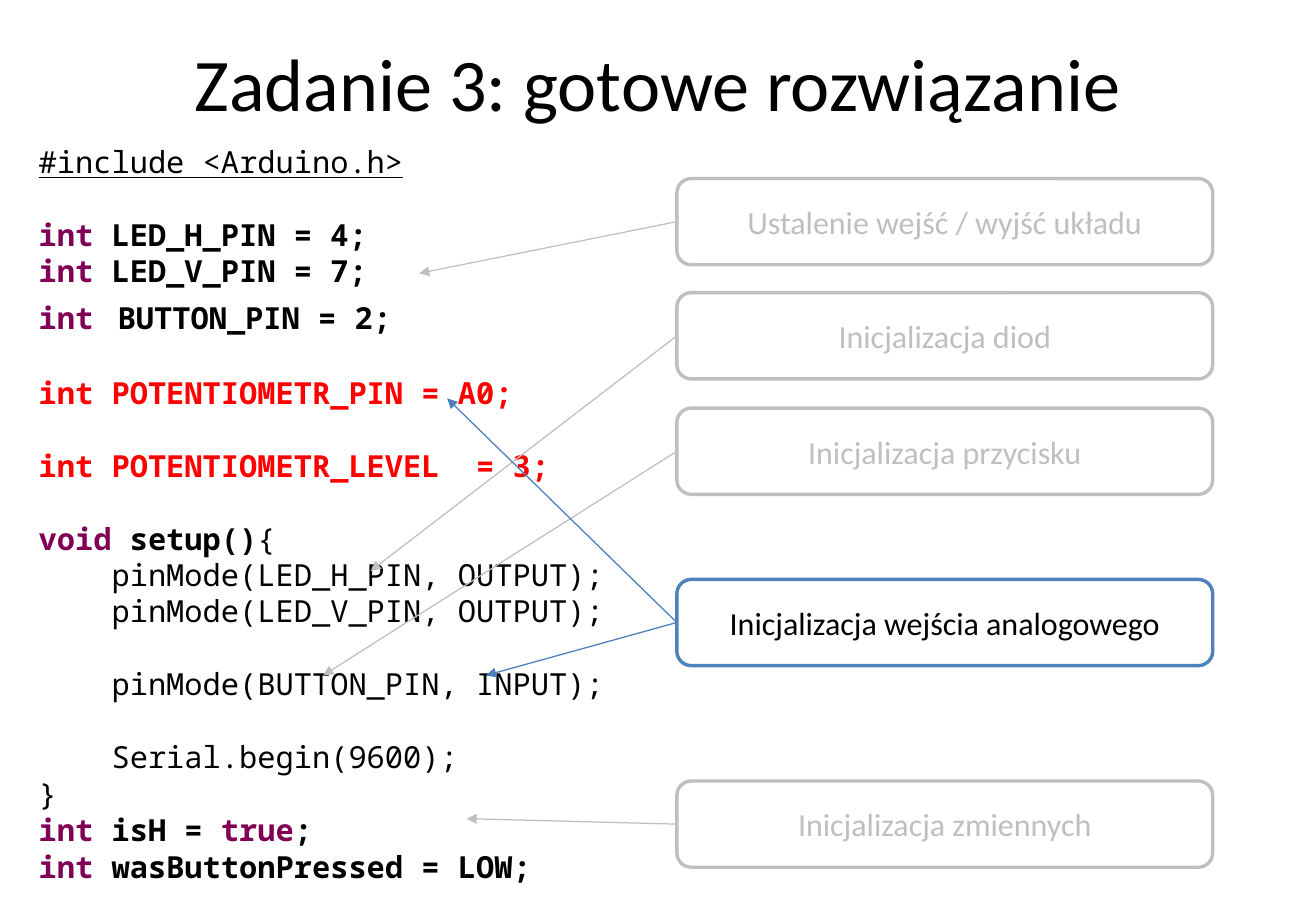
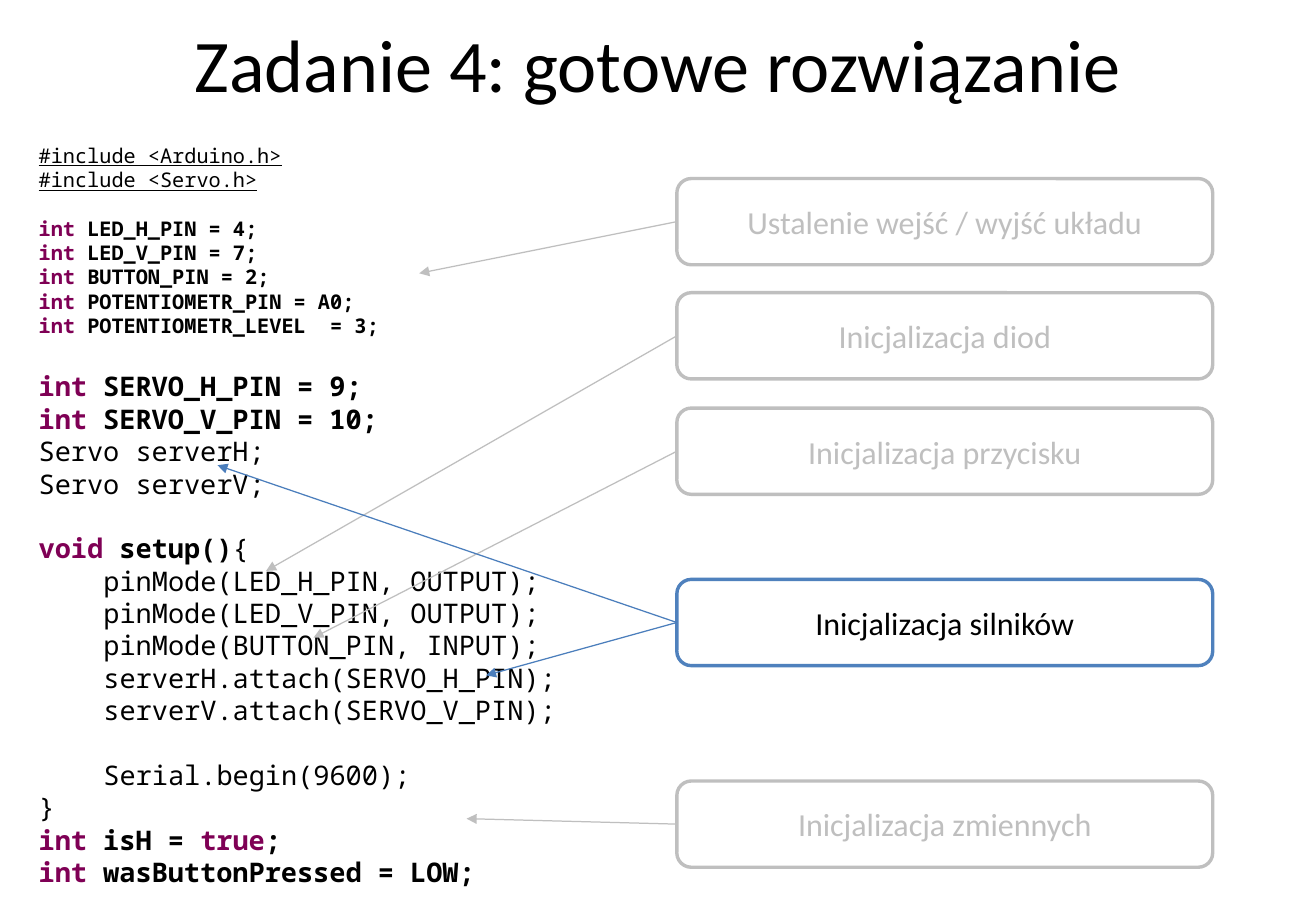
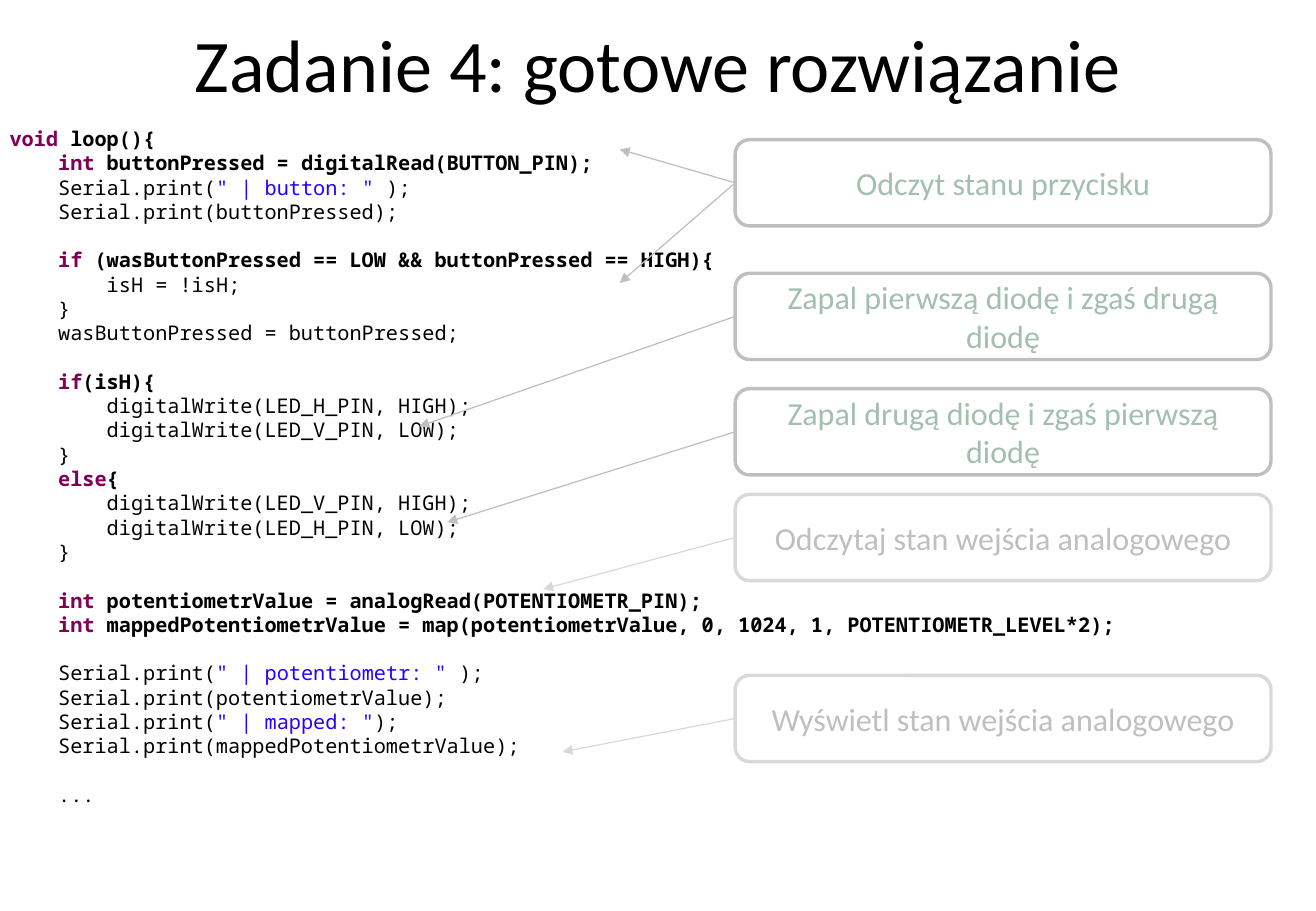
from dataclasses import dataclass
from itertools import groupby

from lxml import etree
from pptx import Presentation
from pptx import util as u
from pptx.dml.color import RGBColor
from pptx.enum import shapes, text
from pptx.oxml import ns

KEYWORDS = {"int", "void", "if", "else", "true"}


@dataclass(frozen=True)
class Theme:
    ink: str = "000000"
    paper: str = "FFFFFF"
    keyword: str = "7F0055"
    string: str = "2A00FF"
    new_code: str = "FF0000"
    grey: str = "BFBFBF"
    pale: str = "D9D9D9"
    sage: str = "A2BFAF"
    blue: str = "4F81BD"
    blue_arrow: str = "4B7EBC"
    sans: str = "Calibri"
    mono: str = "Noto Sans Mono"
    title_size: float = 44
    label_size: float = 19
    large_code: float = 18
    medium_code: float = 16
    small_code: float = 12
    wide_space: float = 24
    leading: float = 1.2
    char_width: float = 0.6


T = Theme()


def rgb(value):
    return RGBColor.from_string(value)


def tokens(line):
    """Split a line of code into (text, colour) parts."""
    if '"' in line:
        return [(f'"{part}"', T.string) if i % 2 else (part, T.ink)
                for i, part in enumerate(line.split('"'))]
    words = ["".join(g) for _, g in
             groupby(line, lambda ch: ch.isalnum() or ch == "_")]
    colours = [(w, T.keyword if w in KEYWORDS else T.ink) for w in words]
    return [("".join(w for w, _ in g), colour)
            for colour, g in groupby(colours, lambda pair: pair[1])]


class Deck:
    def __init__(self):
        self.prs = Presentation()
        self.prs.slide_width = u.Inches(10.83)
        self.prs.slide_height = u.Inches(7.5)
        self.s = None

    def run(self, p, content, size, colour, font=T.mono, bold=False,
            underline=False):
        r = p.add_run()
        r.text = content
        r.font.name, r.font.size = font, u.Pt(size)
        r.font.bold, r.font.underline = bold, underline
        r.font.color.rgb = rgb(colour)

    def slide(self, title, top):
        self.s = self.prs.slides.add_slide(self.prs.slide_layouts[5])
        sp = self.s.shapes.title
        sp.left, sp.top = u.Inches(0.54), u.Inches(top)
        sp.width, sp.height = u.Inches(9.75), u.Inches(1.25)
        tf = sp.text_frame
        tf.vertical_anchor = text.MSO_ANCHOR.MIDDLE
        p = tf.paragraphs[0]
        p.alignment = text.PP_ALIGN.CENTER
        self.run(p, title, T.title_size, T.ink, T.sans)

    def code(self, at, sections, red=None, wide=None, light_brace=None):
        """Set highlighted code; blank lines and leading spaces become
        paragraph spacing and indents.

        red: lines holding this word are new code; wide: the line holding it
        has a large space after its keyword; light_brace: the line holding it
        ends in a brace of regular weight.
        """
        sp = self.s.shapes.add_textbox(*map(u.Inches, at))
        tf = sp.text_frame
        tf.word_wrap = True
        tf.auto_size = text.MSO_AUTO_SIZE.SHAPE_TO_FIT_TEXT
        p, gap = tf.paragraphs[0], 0
        for size, source in sections:
            for raw in source.splitlines():
                line = raw.strip()
                if not line:
                    gap += size * T.leading
                    continue
                if p.runs:
                    p = tf.add_paragraph()
                is_wide = bool(wide) and wide in line
                p.space_before, gap = u.Pt(gap), 0
                p.line_spacing = u.Pt(
                    (T.wide_space if is_wide else size) * T.leading)
                indent = (len(raw) - len(line)) * T.char_width * size
                p._p.get_or_add_pPr().set("marL", str(u.Pt(indent)))
                self.code_line(p, line, size, bool(red) and red in line,
                               is_wide,
                               bool(light_brace) and light_brace in line)

    def code_line(self, p, line, size, is_red, is_wide, is_light):
        parts = [(line, T.new_code)] if is_red else tokens(line)
        bold = is_red or parts[0][1] == T.keyword
        for content, colour in parts:
            if is_wide and content.startswith(" "):
                self.run(p, " ", T.wide_space, T.new_code, bold=bold)
                content = content[1:]
            brace = is_light and content.endswith("{")
            self.run(p, content[:-1] if brace else content, size, colour,
                     bold=bold, underline=line.startswith("#"))
            if brace:
                self.run(p, "{", size, colour)

    def label(self, x, y, caption, targets, line=T.grey, ink=T.grey,
              arrow=None):
        """Add a rounded label with an arrow from its left side to each target."""
        sp = self.s.shapes.add_shape(
            shapes.MSO_SHAPE.ROUNDED_RECTANGLE,
            *map(u.Inches, (x, y, 4.41, 0.71)))
        sp.shadow.inherit = False
        sp.fill.solid()
        sp.fill.fore_color.rgb = rgb(T.paper)
        sp.line.color.rgb = rgb(line)
        sp.line.width = u.Pt(2)
        tf = sp.text_frame
        tf.word_wrap = True
        tf.vertical_anchor = text.MSO_ANCHOR.MIDDLE
        p = tf.paragraphs[0]
        p.alignment = text.PP_ALIGN.CENTER
        self.run(p, caption, T.label_size, ink, T.sans)
        for target in targets:
            self.arrow(sp, target, arrow or line)

    def arrow(self, sp, target, colour):
        end_x, end_y = map(u.Inches, target)
        c = self.s.shapes.add_connector(
            shapes.MSO_CONNECTOR.STRAIGHT, sp.left,
            sp.top + sp.height // 2, end_x, end_y)
        c.begin_connect(sp, 1)
        c.line.color.rgb = rgb(colour)
        c.line.width = u.Pt(0.75)
        tail = etree.SubElement(c.line._get_or_add_ln(), ns.qn("a:tailEnd"))
        tail.set("type", "triangle")
        etree.SubElement(c._element.spPr, ns.qn("a:effectLst"))

    def setup_labels(self, diodes, button, new_caption, new_targets):
        """Add the labels that both setup() slides share."""
        x = 5.57
        for y, caption, target in (
                (1.47, "Ustalenie wejść / wyjść układu", (3.45, 2.25)),
                (2.41, "Inicjalizacja diod", diodes),
                (3.36, "Inicjalizacja przycisku", button),
                (6.43, "Inicjalizacja zmiennych", (3.84, 6.74))):
            self.label(x, y, caption, [target])
        self.label(x, 4.77, new_caption, new_targets, T.blue, T.ink,
                   T.blue_arrow)


POTENTIOMETER_SETUP = """\
#include <Arduino.h>

int LED_H_PIN = 4;
int LED_V_PIN = 7;
int BUTTON_PIN = 2;

int POTENTIOMETR_PIN = A0;

int POTENTIOMETR_LEVEL  = 3;

void setup(){
    pinMode(LED_H_PIN, OUTPUT);
    pinMode(LED_V_PIN, OUTPUT);

    pinMode(BUTTON_PIN, INPUT);

    Serial.begin(9600);
}
int isH = true;
int wasButtonPressed = LOW;
"""

SERVO_HEADER = """\
#include <Arduino.h>
#include <Servo.h>

int LED_H_PIN = 4;
int LED_V_PIN = 7;
int BUTTON_PIN = 2;
int POTENTIOMETR_PIN = A0;
int POTENTIOMETR_LEVEL  = 3;
"""

SERVO_SETUP = """\

int SERVO_H_PIN = 9;
int SERVO_V_PIN = 10;
Servo serverH;
Servo serverV;

void setup(){
    pinMode(LED_H_PIN, OUTPUT);
    pinMode(LED_V_PIN, OUTPUT);
    pinMode(BUTTON_PIN, INPUT);
    serverH.attach(SERVO_H_PIN);
    serverV.attach(SERVO_V_PIN);

    Serial.begin(9600);
}
int isH = true;
int wasButtonPressed = LOW;
"""

LOOP = """\
void loop(){
    int buttonPressed = digitalRead(BUTTON_PIN);
    Serial.print(" | button: " );
    Serial.print(buttonPressed);

    if (wasButtonPressed == LOW && buttonPressed == HIGH){
        isH = !isH;
    }
    wasButtonPressed = buttonPressed;

    if(isH){
        digitalWrite(LED_H_PIN, HIGH);
        digitalWrite(LED_V_PIN, LOW);
    }
    else{
        digitalWrite(LED_V_PIN, HIGH);
        digitalWrite(LED_H_PIN, LOW);
    }

    int potentiometrValue = analogRead(POTENTIOMETR_PIN);
    int mappedPotentiometrValue = map(potentiometrValue, 0, 1024, 1, POTENTIOMETR_LEVEL*2);

    Serial.print(" | potentiometr: " );
    Serial.print(potentiometrValue);
    Serial.print(" | mapped: ");
    Serial.print(mappedPotentiometrValue);

    ...
"""


def main():
    deck = Deck()

    deck.slide("Zadanie 3: gotowe rozwiązanie", 0.05)
    deck.code((0.22, 1.13, 10.4, 6.26), [(T.large_code, POTENTIOMETER_SETUP)],
              red="int POTENTIOMETR", wide="int BUTTON_PIN",
              light_brace="setup")
    deck.setup_labels((3.05, 4.7), (2.66, 5.56),
                      "Inicjalizacja wejścia analogowego",
                      [(4, 5.56), (3.68, 3.28)])

    deck.slide("Zadanie 4: gotowe rozwiązanie", -0.11)
    deck.code((0.22, 1.13, 10.4, 6.29),
              [(T.small_code, SERVO_HEADER), (T.medium_code, SERVO_SETUP)],
              light_brace="setup")
    deck.setup_labels((2.19, 4.7), (2.58, 5.25), "Inicjalizacja silników",
                      [(4, 5.56), (1.79, 3.83)])

    deck.slide("Zadanie 4: gotowe rozwiązanie", -0.11)
    deck.code((-0.02, 0.99, 12.92, 5.76), [(T.small_code, LOOP)])
    for y, caption, targets, line, ink in (
            (1.15, "Odczyt stanu przycisku", [(5.1, 1.23), (5.1, 2.33)],
             T.grey, T.sage),
            (2.25, "Zapal pierwszą diodę i zgaś drugą diodę", [(3.45, 3.51)],
             T.grey, T.sage),
            (3.2, "Zapal drugą diodę i zgaś pierwszą diodę", [(3.68, 4.3)],
             T.grey, T.sage),
            (4.07, "Odczytaj stan wejścia analogowego", [(4.47, 4.85)],
             T.pale, T.grey),
            (5.56, "Wyświetl stan wejścia analogowego", [(4.63, 6.19)],
             T.pale, T.grey)):
        deck.label(6.05, y, caption, targets, line, ink)

    deck.prs.save("out.pptx")


if __name__ == "__main__":
    main()
